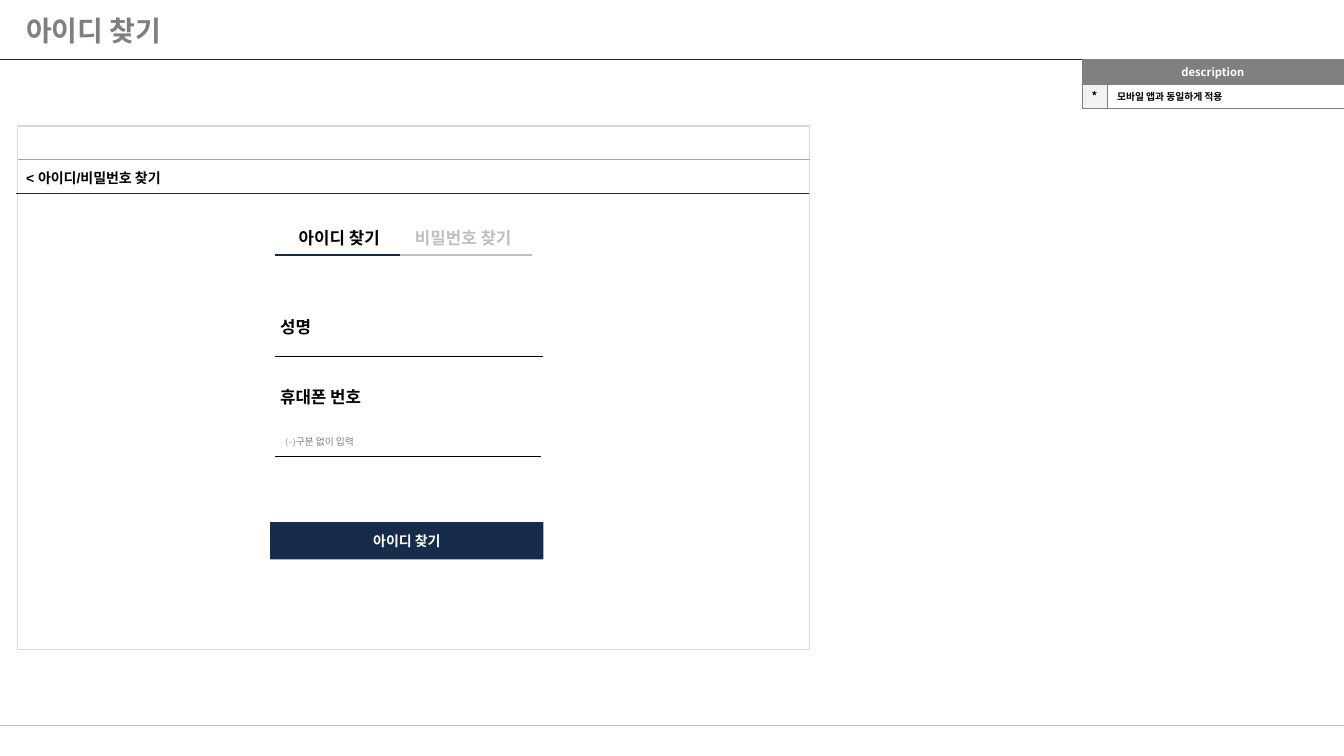
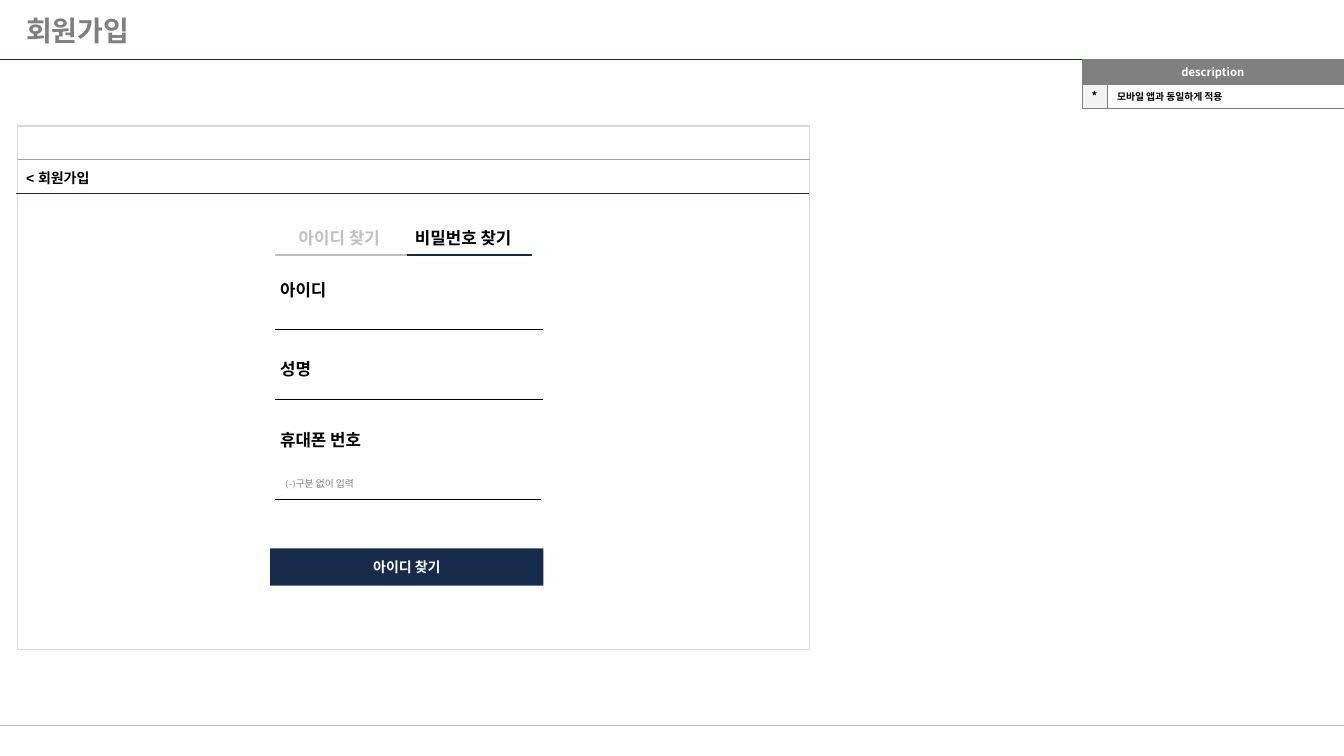
"""Build the account recovery wireframe slides."""
from dataclasses import dataclass

from lxml.etree import SubElement
from pptx import Presentation
from pptx.dml.color import RGBColor
from pptx.enum.shapes import MSO_CONNECTOR as Connector, MSO_SHAPE as Preset
from pptx.enum.text import MSO_ANCHOR as Anchor, MSO_AUTO_SIZE as AutoSize, PP_ALIGN as Align
from pptx.oxml import parse_xml
from pptx.oxml.ns import nsdecls, qn
from pptx.slide import Slide
from pptx.table import _Cell as Cell
from pptx.text.text import TextFrame
from pptx.util import Emu, Pt

EMU_PER_PX = 9144
SLIDE_WIDTH, SLIDE_HEIGHT = 1333, 750
FORM_LEFT, FORM_RIGHT, FORM_WIDTH = 273, 539, 271
BOX_LEFT = 268
TAB_LEFTS = (273, 396)
TAB_MARKS = ((273, 397), (404, 528))
TAB_LABELS = ("아이디 찾기", "비밀번호 찾기")
TAB_LINE = 253
HINT_RISE = 26


@dataclass(frozen=True)
class TextStyle:
    font: str
    size: float
    color: str
    bold: bool = True
    align: Align = Align.LEFT


@dataclass(frozen=True)
class Theme:
    navy: str = "152A4B"
    button: str = "172B4B"
    black: str = "000000"
    white: str = "FFFFFF"
    gray: str = "808080"
    light: str = "BFBFBF"
    frame: str = "D9D9D9"
    divider: str = "A6A6A6"
    mark: str = "F2F2F2"
    asian: str = "Noto Sans CJK KR"
    hairline: float = 0.25
    thin: float = 0.75
    medium: float = 1
    thick: float = 1.5
    title: TextStyle = TextStyle("Quicksand", 20, "7F7F7F")
    heading: TextStyle = TextStyle("Arial", 10, "000000")
    label: TextStyle = TextStyle("Cambria", 12, "000000")
    hint: TextStyle = TextStyle("Cambria", 7, "808080", bold=False)
    action: TextStyle = TextStyle("Cambria", 10, "FFFFFF", align=Align.CENTER)
    tab_on: TextStyle = TextStyle("Cambria", 12, "000000", align=Align.CENTER)
    tab_off: TextStyle = TextStyle("Cambria", 12, "BFBFBF", align=Align.CENTER)
    table_head: TextStyle = TextStyle("Noto Sans CJK KR", 8, "FFFFFF", align=Align.CENTER)
    table_mark: TextStyle = TextStyle("Noto Sans CJK KR", 8, "000000", align=Align.CENTER)
    table_note: TextStyle = TextStyle("Noto Sans CJK KR", 7, "000000")


@dataclass(frozen=True)
class Field:
    label: str
    top: int
    line: int
    right: int = FORM_RIGHT
    hint: str = ""


@dataclass(frozen=True)
class Screen:
    title: str
    heading: str
    active_tab: int
    fields: tuple[Field, ...]
    button_top: int


THEME = Theme()
PHONE, PHONE_HINT, PHONE_RIGHT = "휴대폰 번호", "(-)구분 없이 입력", 537
SCREENS = (
    Screen("아이디 찾기", "< 아이디/비밀번호 찾기", 0, (
        Field("성명", 309, 353),
        Field(PHONE, 379, 453, PHONE_RIGHT, PHONE_HINT),
    ), 518),
    Screen("회원가입", "< 회원가입", 1, (
        Field("아이디", 273, 327),
        Field("성명", 351, 396),
        Field(PHONE, 421, 495, PHONE_RIGHT, PHONE_HINT),
    ), 544),
)


def px(length: int) -> Emu:
    return Emu(length * EMU_PER_PX)


def rgb(color: str) -> RGBColor:
    return RGBColor.from_string(color)


def write(frame: TextFrame, text: str, style: TextStyle) -> None:
    paragraph = frame.paragraphs[0]
    paragraph.text = text
    paragraph.alignment = style.align
    paragraph.space_before = Pt(0)
    font = paragraph.font
    font.name, font.size, font.bold = style.font, Pt(style.size), style.bold
    font.color.rgb = rgb(style.color)
    properties = paragraph._p.pPr.find(qn("a:defRPr"))
    SubElement(properties, qn("a:ea")).set("typeface", THEME.asian)


def add_text(slide: Slide, text: str, left: int, top: int, width: int, height: int,
             style: TextStyle) -> None:
    box = slide.shapes.add_textbox(px(left), px(top), px(width), px(height))
    box.text_frame.word_wrap = True
    write(box.text_frame, text, style)


def add_rule(slide: Slide, left: int, right: int, top: int, color: str, weight: float) -> None:
    rule = slide.shapes.add_connector(Connector.STRAIGHT, px(left), px(top), px(right), px(top))
    rule.line.color.rgb = rgb(color)
    rule.line.width = Pt(weight)
    SubElement(rule._element.spPr, qn("a:effectLst"))


def add_title(slide: Slide, text: str) -> None:
    title = slide.shapes.title
    title.left, title.top, title.width, title.height = map(px, (16, 3, 1303, 54))
    title.text_frame.auto_size = AutoSize.NONE
    title.text_frame.vertical_anchor = Anchor.MIDDLE
    write(title.text_frame, text, THEME.title)


def add_frame(slide: Slide) -> None:
    add_rule(slide, 0, SLIDE_WIDTH, 720, THEME.light, THEME.medium)
    add_rule(slide, 0, SLIDE_WIDTH, 59, THEME.navy, THEME.thin)
    panel = slide.shapes.add_shape(Preset.RECTANGLE, px(17), px(125), px(786), px(519))
    panel.shadow.inherit = False
    panel.fill.solid()
    panel.fill.fore_color.rgb = rgb(THEME.white)
    panel.line.color.rgb = rgb(THEME.frame)
    panel.line.width = Pt(THEME.thin)
    add_rule(slide, 18, 803, 158, THEME.divider, THEME.hairline)


def add_borders(cell: Cell) -> None:
    properties = cell._tc.get_or_add_tcPr()
    for index, side in enumerate(("lnL", "lnR", "lnT", "lnB")):
        properties.insert(index, parse_xml(
            f'<a:{side} {nsdecls("a")} w="{Pt(THEME.hairline)}"><a:solidFill>'
            f'<a:srgbClr val="{THEME.gray}"/></a:solidFill></a:{side}>'))


def fill_cell(cell: Cell, text: str, style: TextStyle, fill: str, side_margin: int) -> None:
    cell.fill.solid()
    cell.fill.fore_color.rgb = rgb(fill)
    cell.vertical_anchor = Anchor.MIDDLE
    cell.margin_left = cell.margin_right = px(side_margin)
    cell.margin_top = cell.margin_bottom = px(4)
    write(cell.text_frame, text, style)


def add_description(slide: Slide) -> None:
    table = slide.shapes.add_table(2, 2, px(1073), px(59), px(260), px(42)).table
    table.first_row = table.horz_banding = False
    for column, width in zip(table.columns, (25, 235)):
        column.width = px(width)
    for row in table.rows:
        row.height = px(21)
    table.cell(0, 0).merge(table.cell(0, 1))
    fill_cell(table.cell(0, 0), "description", THEME.table_head, THEME.gray, 4)
    fill_cell(table.cell(1, 0), "*", THEME.table_mark, THEME.mark, 4)
    fill_cell(table.cell(1, 1), "모바일 앱과 동일하게 적용", THEME.table_note, THEME.white, 10)
    for cell in table.iter_cells():
        add_borders(cell)


def add_field(slide: Slide, field: Field) -> None:
    add_text(slide, field.label, BOX_LEFT, field.top, 127, 30, THEME.label)
    add_rule(slide, FORM_LEFT, field.right, field.line, THEME.black, THEME.hairline)
    if field.hint:
        add_text(slide, field.hint, FORM_LEFT, field.line - HINT_RISE, 127, 22, THEME.hint)


def add_button(slide: Slide, text: str, top: int) -> None:
    button = slide.shapes.add_shape(Preset.RECTANGLE, px(BOX_LEFT), px(top), px(FORM_WIDTH), px(37))
    button.shadow.inherit = False
    button.fill.solid()
    button.fill.fore_color.rgb = rgb(THEME.button)
    button.line.fill.background()
    button.text_frame.vertical_anchor = Anchor.MIDDLE
    write(button.text_frame, text, THEME.action)


def add_tabs(slide: Slide, active: int) -> None:
    add_rule(slide, TAB_MARKS[0][0], TAB_MARKS[1][1], TAB_LINE, THEME.light, THEME.thin)
    add_rule(slide, *TAB_MARKS[active], TAB_LINE, THEME.navy, THEME.thick)
    for index, (label, left) in enumerate(zip(TAB_LABELS, TAB_LEFTS)):
        style = THEME.tab_on if index == active else THEME.tab_off
        add_text(slide, label, left, 221, 127, 30, style)


def add_screen(slide: Slide, screen: Screen) -> None:
    add_frame(slide)
    add_title(slide, screen.title)
    add_description(slide)
    for field in screen.fields:
        add_field(slide, field)
    add_button(slide, "아이디 찾기", screen.button_top)
    add_tabs(slide, screen.active_tab)
    add_text(slide, screen.heading, 16, 163, 300, 28, THEME.heading)
    add_rule(slide, 16, 802, 192, THEME.navy, THEME.hairline)


def main() -> None:
    presentation = Presentation()
    presentation.slide_width, presentation.slide_height = px(SLIDE_WIDTH), px(SLIDE_HEIGHT)
    title_only = presentation.slide_layouts.get_by_name("Title Only")
    for screen in SCREENS:
        add_screen(presentation.slides.add_slide(title_only), screen)
    presentation.save("out.pptx")


if __name__ == "__main__":
    main()
